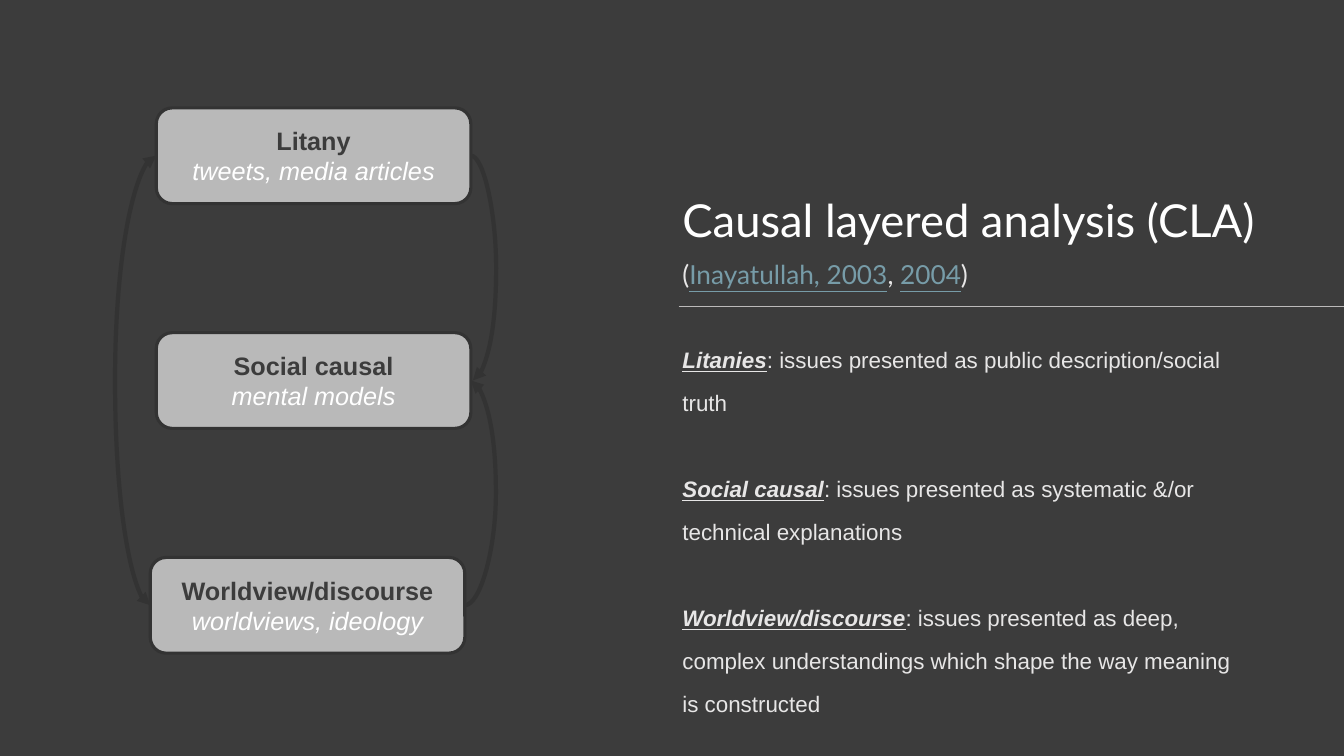
import pptx
import pptx.util
import pptx.dml.color
import pptx.enum.shapes
import pptx.enum.text
import pptx.oxml
import pptx.oxml.ns
from lxml import etree

Inches = pptx.util.Inches
Pt = pptx.util.Pt
Align = pptx.enum.text.PP_ALIGN
Anchor = pptx.enum.text.MSO_ANCHOR
Connector = pptx.enum.shapes.MSO_CONNECTOR

COLORS = {
    "background": "3C3C3C",
    "rule": "BCBABA",
    "title": "FFFFFF",
    "body": "E7E6E6",
    "link": "779CA8",
    "layer": "B9B9B9",
    "outline": "333333",
    "name": "3C3C3C",
    "example": "FFFFFF",
}

LAYER_WIDTH = 3.12
LAYER_HEIGHT = 0.95
LAYERS = [
    (0.06, "Litany", "tweets, media articles"),
    (0.06, "Social causal", "mental models"),
    (0, "Worldview/discourse", "worldviews, ideology"),
]
DEFINITIONS = [
    ("Litanies", ": issues presented as public description/social truth"),
    ("Social causal", ": issues presented as systematic &/or technical explanations"),
    ("Worldview/discourse", ": issues presented as deep, complex understandings "
                            "which shape the way meaning is constructed"),
]
CITATION = [("(", False), ("Inayatullah, 2003", True), (", ", False), ("2004", True), (")", False)]


def color(name):
    return pptx.dml.color.RGBColor.from_string(COLORS[name])


def add_span(para, text, size, font, shade, bold=False, italic=False, underline=False):
    span = para.add_run()
    span.text = text
    span.font.size = Pt(size)
    span.font.name = font
    span.font.color.rgb = color(shade)
    span.font.bold = bold
    span.font.italic = italic
    span.font.underline = underline


def add_text_frame(page, left, top, width, height, anchor=Anchor.TOP):
    box = page.shapes.add_textbox(Inches(left), Inches(top), Inches(width), Inches(height))
    box.text_frame.word_wrap = True
    box.text_frame.vertical_anchor = anchor
    return box.text_frame


def add_line(page, kind, start, end, shade, weight):
    line = page.shapes.add_connector(kind, *[Inches(value) for value in (*start, *end)])
    line.line.color.rgb = color(shade)
    line.line.width = Pt(weight)
    etree.SubElement(line._element.spPr, pptx.oxml.ns.qn("a:effectLst"))
    return line


def add_arc(page, start, end, bulge, both_ends=False):
    arc = add_line(page, Connector.CURVE, start, end, "outline", 3)
    bend = round((bulge - start[0]) / (end[0] - start[0]) * 100000)
    guides = arc._element.spPr.prstGeom.get_or_add_avLst()
    etree.SubElement(guides, pptx.oxml.ns.qn("a:gd"), name="adj1", fmla=f"val {bend}")
    stroke = arc.line._get_or_add_ln()
    for tag in ["a:headEnd", "a:tailEnd"] if both_ends else ["a:tailEnd"]:
        etree.SubElement(stroke, pptx.oxml.ns.qn(tag), type="triangle")


def add_layer(page, left, top, name, example):
    box = page.shapes.add_shape(
        pptx.enum.shapes.MSO_SHAPE.ROUNDED_RECTANGLE,
        Inches(left), Inches(top), Inches(LAYER_WIDTH), Inches(LAYER_HEIGHT))
    box.shadow.inherit = False
    box.fill.solid()
    box.fill.fore_color.rgb = color("layer")
    box.line.color.rgb = color("outline")
    box.line.width = Pt(2.25)
    frame = box.text_frame
    frame.vertical_anchor = Anchor.MIDDLE
    add_span(frame.paragraphs[0], name, 18, "Arial", "name", bold=True)
    add_span(frame.add_paragraph(), example, 18, "Arial", "example", italic=True)
    for para in frame.paragraphs:
        para.alignment = Align.CENTER


def add_layer_diagram(page, left, top, pitch):
    sides = []
    for index, (offset, name, example) in enumerate(LAYERS):
        x, y = left + offset, top + index * pitch
        add_layer(page, x, y, name, example)
        middle = y + LAYER_HEIGHT / 2
        sides.append(((x, middle), (x + LAYER_WIDTH, middle)))
    litany, social, worldview = sides
    right_bulge = left + 3.43
    add_arc(page, worldview[0], litany[0], left - 0.35, both_ends=True)
    add_arc(page, litany[1], (social[1][0] + 0.02, social[1][1]), right_bulge)
    add_arc(page, worldview[1], social[1], right_bulge)


def add_heading(page, left, top, width):
    title = add_text_frame(page, left, top, width, 0.83, Anchor.BOTTOM).paragraphs[0]
    title.line_spacing = 0.9
    add_span(title, "Causal layered analysis (CLA)", 32.4, "Lato", "title")
    citation = add_text_frame(page, left, top + 0.75, width, 0.51).paragraphs[0]
    citation.alignment = Align.JUSTIFY
    citation.line_spacing = 1.3
    for text, linked in CITATION:
        add_span(citation, text, 18.7, "Lato", "link" if linked else "body", underline=linked)


def add_definitions(page, left, top, width, height):
    frame = add_text_frame(page, left, top, width, height)
    for index, (term, meaning) in enumerate(DEFINITIONS):
        para = frame.add_paragraph() if index else frame.paragraphs[0]
        para.line_spacing = 1.6
        para.space_before = Pt(30.7 if index else 0)
        add_span(para, term, 16, "Arial", "body", bold=True, italic=True, underline=True)
        add_span(para, meaning, 16, "Arial", "body")


def main():
    deck = pptx.Presentation()
    deck.slide_width = Inches(13.33)
    deck.slide_height = Inches(7.5)
    page = deck.slides.add_slide(deck.slide_layouts[6])
    page.background.fill.solid()
    page.background.fill.fore_color.rgb = color("background")
    add_line(page, Connector.STRAIGHT, (6.73, 3.04), (13.33, 3.04), "rule", 0.5)
    add_heading(page, 6.67, 1.67, 6.6)
    add_definitions(page, 6.67, 3.23, 5.71, 3.16)
    add_layer_diagram(page, 1.49, 1.07, 2.23)
    deck.save("out.pptx")


if __name__ == "__main__":
    main()
